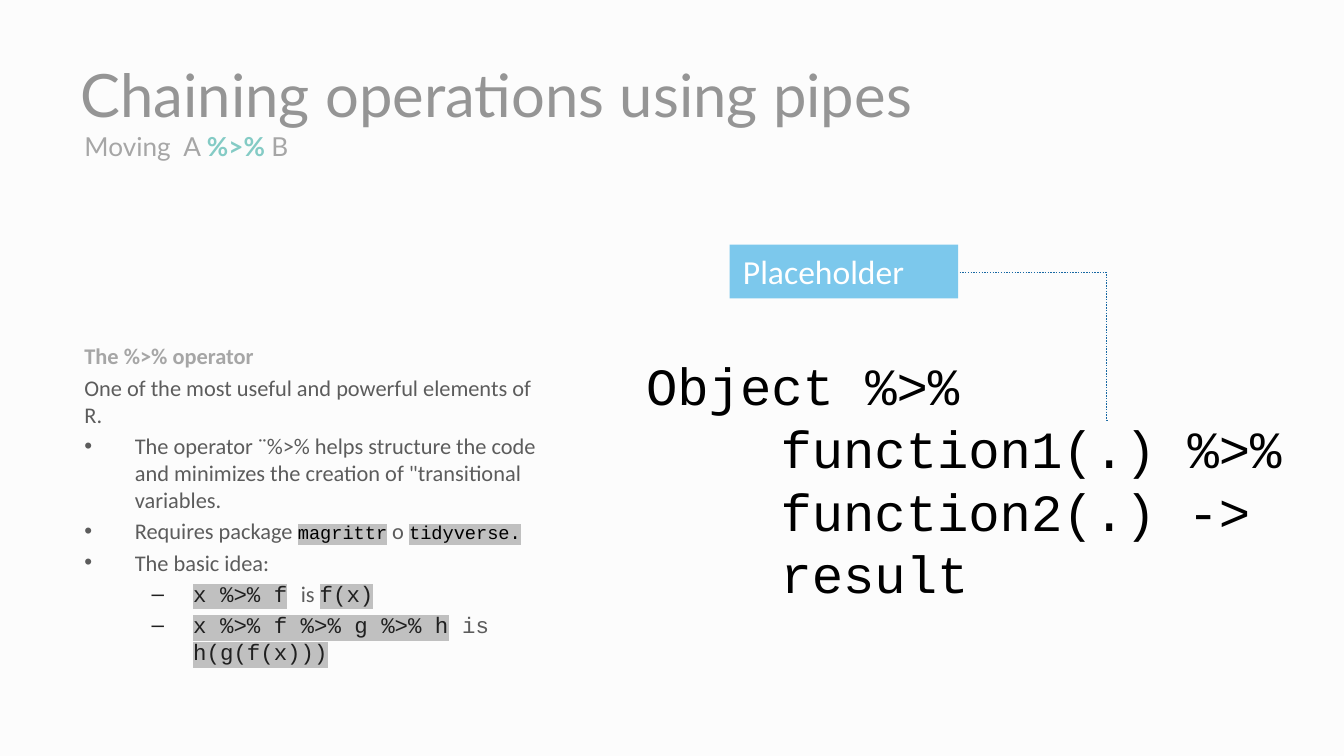
import lxml.etree
import pptx
import pptx.dml.color
import pptx.enum.dml
import pptx.enum.shapes
import pptx.enum.text
import pptx.oxml.ns
import pptx.util


class Theme:
    back, title, soft, body = "FCFCFC", "959595", "A6A6A6", "5C5C5C"
    mint, sky, line, white = "84CBC5", "7CC8EC", "1768A3", "FFFFFF"
    black, code, mark = "000000", "202020", "C0C0C0"
    head, sans, mono = "Lato", "Calibri", "Courier New"
    huge, big, label, sub, text, small = 32, 28, 18, 14, 12, 10


rgb = pptx.dml.color.RGBColor.from_string
qn = pptx.oxml.ns.qn
middle = pptx.enum.text.MSO_ANCHOR.MIDDLE


def write(para, text, size=Theme.text, face=Theme.sans, color=Theme.body, bold=False, mark=None):
    run = para.add_run()
    run.text = text
    run.font.size = pptx.util.Pt(size)
    run.font.bold = bold
    run.font.color.rgb = rgb(color)
    if mark:
        light = lxml.etree.SubElement(run.font._element, qn("a:highlight"))
        lxml.etree.SubElement(light, qn("a:srgbClr"), val=mark)
    run.font.name = face


deck = pptx.Presentation()
deck.slide_width = pptx.util.Inches(10)
deck.slide_height = deck.slide_width * 9 // 16
unit = deck.slide_width / 100


def grid(*cells):
    return [round(cell * unit) for cell in cells]


slide = deck.slides.add_slide(deck.slide_layouts[5])
slide.background.fill.solid()
slide.background.fill.fore_color.rgb = rgb(Theme.back)
shapes = slide.shapes

title = shapes.title
title.left, title.top, title.width, title.height = grid(5, 2.3, 90, 9.4)
title.text_frame.vertical_anchor = middle
para = title.text_frame.paragraphs[0]
para.alignment = pptx.enum.text.PP_ALIGN.LEFT
write(para, "Chaining operations using pipes", size=Theme.huge, face=Theme.head, color=Theme.title)

frame = shapes.add_textbox(*grid(5.3, 8.9, 90, 4)).text_frame
frame.word_wrap = True
frame.vertical_anchor = middle
para = frame.paragraphs[0]
for text, color, bold in [("Moving  A ", Theme.soft, False), ("%>% ", Theme.mint, True), ("B", Theme.soft, False)]:
    write(para, text, size=Theme.sub, face=Theme.head, color=color, bold=bold)

plain = {}
lead = dict(color=Theme.soft, bold=True)
pack = dict(size=Theme.small, face=Theme.mono, color=Theme.black, mark=Theme.mark)
code = dict(face=Theme.mono, color=Theme.code, mark=Theme.mark)
mono = dict(face=Theme.mono)
marks = {"•": (0, 3.75, -3.75), "–": (1, 8.1, -3.1)}
notes = [
    ("", [("The %>% operator", lead)]),
    ("", [("One of the most useful and powerful elements of R.", plain)]),
    ("•", [("The operator ¨%>% helps structure the code and minimizes the creation of \"transitional variables.", plain)]),
    ("•", [("Requires package ", plain), ("magrittr", pack), (" o ", plain), ("tidyverse.", pack)]),
    ("•", [("The basic idea:", plain)]),
    ("–", [("x %>% f", code), (" ", mono), ("is ", plain), ("f(x)", code)]),
    ("–", [("x %>% f %>% g %>% h", code), (" is ", mono), ("h(g(f(x)))", code)]),
]
frame = shapes.add_textbox(*grid(5.3, 25, 36.6, 27.8)).text_frame
frame.word_wrap = True
for row, (mark, runs) in enumerate(notes):
    para = frame.add_paragraph() if row else frame.paragraphs[0]
    if mark:
        para.level, left, hang = marks[mark]
        prop = para._p.get_or_add_pPr()
        prop.set("marL", str(grid(left)[0]))
        prop.set("indent", str(grid(hang)[0]))
        lxml.etree.SubElement(prop, qn("a:buFont"), typeface="Arial")
        lxml.etree.SubElement(prop, qn("a:buChar"), char=mark)
    if row:
        para.space_before = pptx.util.Pt(0.2 * Theme.text)
    for text, style in runs:
        write(para, text, **style)

frame = shapes.add_textbox(*grid(47.1, 25.8, 49.7, 19.9)).text_frame
frame.word_wrap = False
frame.auto_size = pptx.enum.text.MSO_AUTO_SIZE.SHAPE_TO_FIT_TEXT
for row, text in enumerate(["Object %>%", "\tfunction1(.) %>%", "\tfunction2(.) ->", "\tresult"]):
    para = frame.add_paragraph() if row else frame.paragraphs[0]
    tabs = lxml.etree.SubElement(para._p.get_or_add_pPr(), qn("a:tabLst"))
    lxml.etree.SubElement(tabs, qn("a:tab"), pos=str(grid(10)[0]), algn="l")
    write(para, text, size=Theme.big, face=Theme.mono, color=Theme.black)

elbow = shapes.add_connector(pptx.enum.shapes.MSO_CONNECTOR.ELBOW, *grid(71.4, 20.3, 82.4, 31.3))
elbow.line.color.rgb = rgb(Theme.line)
elbow.line.width = pptx.util.Pt(0.75)
elbow.line.dash_style = pptx.enum.dml.MSO_LINE.ROUND_DOT
prop = elbow._element.spPr
bend = prop.find(qn("a:prstGeom")).find(qn("a:avLst"))
lxml.etree.SubElement(bend, qn("a:gd"), name="adj1", fmla="val 99600")
lxml.etree.SubElement(prop, qn("a:effectLst"))

label = shapes.add_shape(pptx.enum.shapes.MSO_SHAPE.RECTANGLE, *grid(54.3, 18.2, 17, 4))
label.shadow.inherit = False
label.fill.solid()
label.fill.fore_color.rgb = rgb(Theme.sky)
label.line.fill.background()
frame = label.text_frame
frame.word_wrap = True
frame.auto_size = pptx.enum.text.MSO_AUTO_SIZE.SHAPE_TO_FIT_TEXT
frame.vertical_anchor = pptx.enum.text.MSO_ANCHOR.TOP
para = frame.paragraphs[0]
para.alignment = pptx.enum.text.PP_ALIGN.LEFT
write(para, "Placeholder", size=Theme.label, color=Theme.white)

deck.save("out.pptx")
